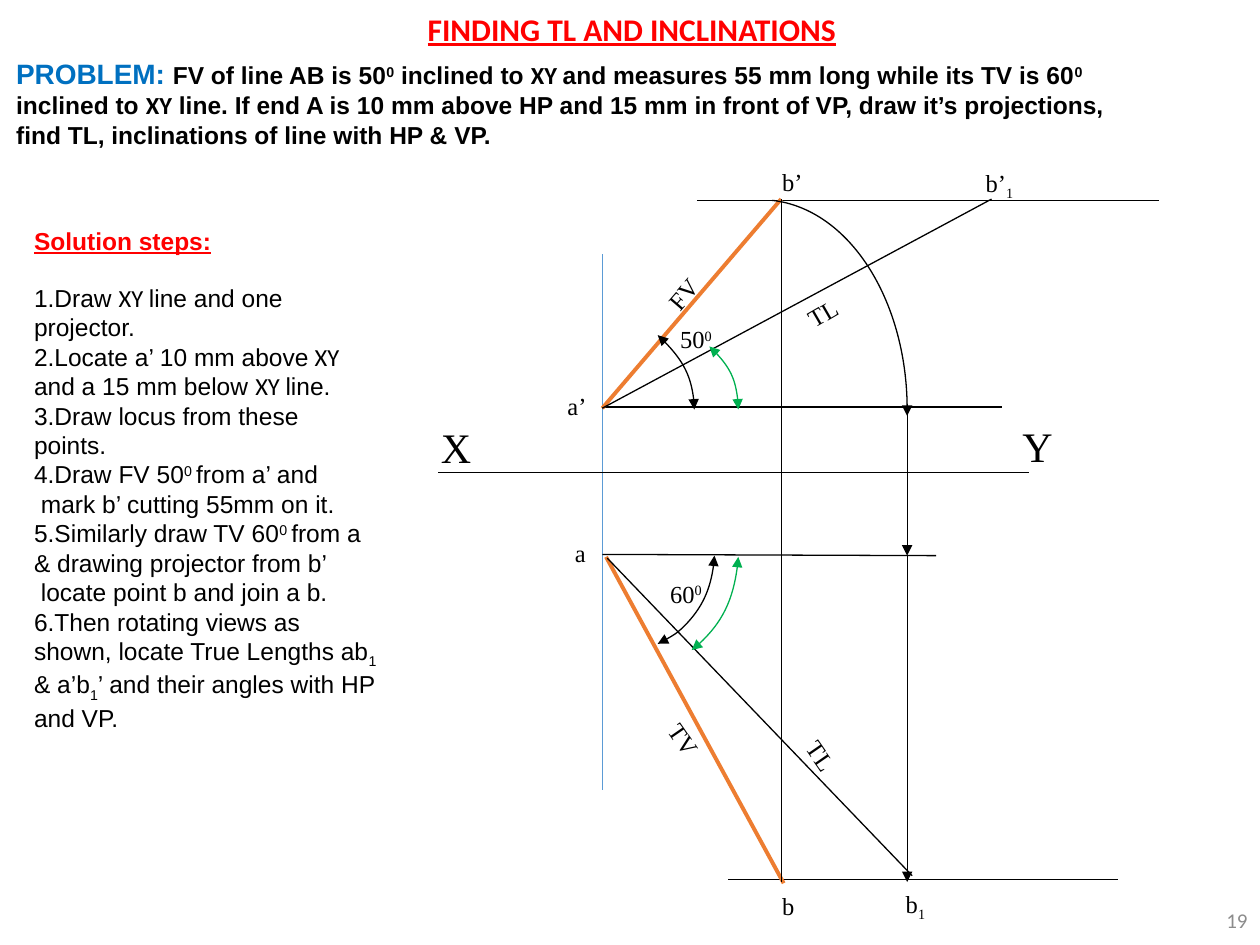
from dataclasses import dataclass

from lxml import etree
from pptx import Presentation
from pptx.dml.color import RGBColor
from pptx.enum.shapes import MSO_CONNECTOR
from pptx.enum.text import MSO_ANCHOR, MSO_AUTO_SIZE, PP_ALIGN
from pptx.oxml.ns import qn
from pptx.util import Inches, Pt

STRAIGHT = MSO_CONNECTOR.STRAIGHT
TOP, MIDDLE = MSO_ANCHOR.TOP, MSO_ANCHOR.MIDDLE
LEFT, CENTER, RIGHT = PP_ALIGN.LEFT, PP_ALIGN.CENTER, PP_ALIGN.RIGHT
FIXED, GROW = MSO_AUTO_SIZE.NONE, MSO_AUTO_SIZE.SHAPE_TO_FIT_TEXT


@dataclass(frozen=True)
class Theme:
    ink: str = "000000"
    accent: str = "FF0000"
    lead: str = "0070C0"
    view: str = "ED7D31"
    angle: str = "00B050"
    projector: str = "5B9BD5"
    muted: str = "8C8C8C"
    sans: str = "Arial"
    heading: str = "Calibri"
    serif: str = "Times New Roman"
    axis_size: int = 24
    title_size: int = 18
    lead_size: int = 16
    text_size: int = 14
    number_size: int = 12
    hairline: float = 0.5
    thin: float = 0.75
    thick: float = 2.25


THEME = Theme()
BODY = {"name": THEME.sans, "size": THEME.text_size, "color": THEME.ink, "bold": False}
HEAD = {"name": THEME.heading, "size": THEME.title_size, "color": THEME.accent,
        "bold": True, "underline": True}
MARK = {**BODY, "name": THEME.serif}
AXIS = {**MARK, "size": THEME.axis_size}
# Variations that a single run may have on its paragraph's format
VARIANTS = {
    "sup": {"baseline": 30000},
    "sub": {"baseline": -25000},
    "xy": {"name": THEME.heading},
    "lead": {"size": THEME.lead_size, "color": THEME.lead},
}

# Regions: left, top, width, height in inches
TITLE_BOX = (0.03, 0.03, 9.97, 0.4)
PROBLEM_BOX = (0.03, 0.4, 8.95, 0.84)
STEPS_BOX = (0.17, 1.74, 2.93, 4.11)
DRAWING_BOX = (3.4, 1.28, 5.8, 6.1)
NUMBER_BOX = (7.75, 7.1, 2.25, 0.4)

PROBLEM = [
    ("PROBLEM: ", "lead"), "FV of line AB is 50", ("0", "sup"), " inclined to ", ("XY ", "xy"),
    "and measures 55 mm long while its TV is 60", ("0", "sup"), " inclined to ", ("XY", "xy"),
    " line. If end A is 10 mm above HP and 15 mm in front of VP, draw it’s projections, "
    "find TL, inclinations of line with HP & VP.",
]
STEPS = [
    ["1.Draw ", ("XY ", "xy"), "line and one projector."],
    ["2.Locate a’ 10 mm above", (" XY ", "xy"), "and a 15 mm below ", ("XY ", "xy"), "line."],
    ["3.Draw locus from these points."],
    ["4.Draw FV 50", ("0 ", "sup"), "from a’ and"],
    [" mark b’ cutting 55mm on it."],
    ["5.Similarly draw TV 60", ("0 ", "sup"), "from a & drawing projector from b’"],
    [" locate point b and join a b."],
    ["6.Then rotating views as shown, locate True Lengths ab", ("1 ", "sub"), "& a’b",
     ("1", "sub"), "’ and their angles with HP and VP."],
]


def place(shape, box):
    for side, length in zip(("left", "top", "width", "height"), box):
        setattr(shape, side, Inches(length))


def set_frame(shape, wrap=True, anchor=TOP, auto_size=GROW):
    frame = shape.text_frame
    values = {"word_wrap": wrap, "vertical_anchor": anchor, "auto_size": auto_size,
              "margin_left": Inches(0.1), "margin_right": Inches(0.1),
              "margin_top": Inches(0.05), "margin_bottom": Inches(0.05)}
    for name, value in values.items():
        setattr(frame, name, value)
    return frame


def write(paragraph, parts, style, align=LEFT):
    paragraph.alignment = align
    for part in parts:
        words, variant = (part, None) if isinstance(part, str) else part
        values = {**style, **VARIANTS.get(variant, {})}
        run = paragraph.add_run()
        run.text = words
        run.font.color.rgb = RGBColor.from_string(values.pop("color"))
        run.font.size = Pt(values.pop("size"))
        baseline = values.pop("baseline", None)
        if baseline:
            run.font._element.set("baseline", str(baseline))
        for name, value in values.items():
            setattr(run.font, name, value)


def add_text(slide, box, parts, style, align=LEFT, **frame_format):
    text = slide.shapes.add_textbox(*map(Inches, box))
    write(set_frame(text, **frame_format).paragraphs[0], parts, style, align)
    return text


def add_title(slide, box):
    place(slide.shapes.title, box)
    frame = set_frame(slide.shapes.title)
    write(frame.paragraphs[0], ["FINDING TL AND INCLINATIONS"], HEAD, CENTER)


def add_steps(slide, box):
    body = slide.placeholders[1]
    place(body, box)
    frame = set_frame(body)
    heading = {**HEAD, "name": THEME.sans, "size": THEME.text_size}
    rows = [(["Solution steps:"], heading)] + [(step, BODY) for step in STEPS]
    for index, (parts, style) in enumerate(rows):
        paragraph = frame.add_paragraph() if index else frame.paragraphs[0]
        paragraph.space_before = Pt(0)
        paragraph.space_after = Pt(0 if index else 16)
        write(paragraph, parts, style)
        properties = paragraph._p.get_or_add_pPr()
        properties.set("marL", "0")
        properties.set("indent", "0")
        etree.SubElement(properties, qn("a:buNone"))


def style_stroke(stroke, color, width, ends=()):
    stroke.line.color.rgb = RGBColor.from_string(color)
    stroke.line.width = Pt(width)
    properties = stroke._element.spPr
    outline = properties.find(qn("a:ln"))
    for end in ends:
        etree.SubElement(outline, qn(f"a:{end}"), type="triangle")
    if properties.find(qn("a:effectLst")) is None:
        etree.SubElement(properties, qn("a:effectLst"))


def add_curve(slide, points, color, ends):
    """Draw cubic segments: a start point, then three points for each segment."""
    builder = slide.shapes.build_freeform(*points[0])
    builder.add_line_segments(points[1:], close=False)
    curve = builder.convert_to_shape()
    outline = curve._element.find(".//" + qn("a:path"))
    vertices = outline.findall(qn("a:lnTo"))
    for first in range(0, len(vertices), 3):
        segment = etree.SubElement(outline, qn("a:cubicBezTo"))
        for vertex in vertices[first:first + 3]:
            segment.append(vertex[0])
            outline.remove(vertex)
    curve.fill.background()
    curve.shadow.inherit = False
    style_stroke(curve, color, THEME.thin, ends)


def add_drawing(slide, box):
    # The origin is where the projector through A crosses the XY line
    origin_x, origin_y = box[0] + 1.38, box[1] + 2.47

    def at(x, y):
        return Inches(origin_x + x), Inches(origin_y + y)

    front_a, front_b, front_b1 = (0, -0.51), (1.42, -2.17), (3.09, -2.17)
    top_a, top_b = (0.03, 0.67), (1.44, 3.26)
    locus_a, locus_b, turned_x = 0.66, 3.23, 2.42
    both, tip = ("headEnd", "tailEnd"), ("tailEnd",)

    strokes = [
        ((0, -1.73), (0, 2.52), THEME.projector, THEME.hairline, ()),
        ((-1.3, 0), (3.39, 0), THEME.ink, THEME.thin, ()),
        # Loci of b’, a’, a and b
        ((0.75, -2.16), (4.42, -2.16), THEME.ink, THEME.thin, ()),
        ((0, -0.52), (3.17, -0.52), THEME.ink, THEME.thin, ()),
        ((0, 0.65), (2.65, locus_a), THEME.ink, THEME.thin, ()),
        ((1, locus_b), (4.09, locus_b), THEME.ink, THEME.thin, ()),
        # Front and top views
        (front_a, front_b, THEME.view, THEME.thick, ()),
        (top_b, top_a, THEME.view, THEME.thick, ()),
        # Projectors of B and of its turned position
        (front_b, (front_b[0], 3.25), THEME.ink, THEME.thin, ()),
        ((turned_x, -0.5), (turned_x, locus_a), THEME.ink, THEME.thin, tip),
        ((turned_x, locus_a), (turned_x, 3.25), THEME.ink, THEME.thin, tip),
        # True lengths
        (front_a, front_b1, THEME.ink, THEME.thin, ()),
        ((0.04, 0.68), (2.46, 3.2), THEME.ink, THEME.thin, ()),
    ]
    for start, end, color, width, ends in strokes:
        line = slide.shapes.add_connector(STRAIGHT, *at(*start), *at(*end))
        style_stroke(line, color, width, ends)

    # Swing of b’ and the four angles
    curves = [
        ([(1.35, -2.16), (1.96, -2.09), (2.42, -1.36), (2.42, -0.5),
          (2.42, -0.48), (2.42, -0.47), (2.42, -0.45)], THEME.ink, tip),
        ([(0.44, -1.09), (0.62, -0.93), (0.73, -0.72), (0.73, -0.5)], THEME.ink, both),
        ([(0.89, 0.66), (0.88, 0.87), (0.8, 1.07), (0.65, 1.22),
          (0.59, 1.28), (0.52, 1.32), (0.44, 1.36)], THEME.ink, both),
        ([(0.85, -1), (1, -0.87), (1.08, -0.69), (1.08, -0.5)], THEME.angle, both),
        ([(1.08, 0.67), (1.06, 0.97), (0.93, 1.24), (0.71, 1.41)], THEME.angle, both),
    ]
    for points, color, ends in curves:
        add_curve(slide, [at(*point) for point in points], color, ends)

    # Labels: parts, centre, width, turn
    labels = [
        (["X"], (-1.16, -0.2), 0.44, 0), (["Y"], (3.46, -0.21), 0.45, 0),
        (["a’"], (-0.2, -0.53), 0.35, 0), (["a"], (-0.17, 0.64), 0.29, 0),
        (["b’"], (1.51, -2.31), 0.36, 0), (["b"], (1.48, 3.44), 0.3, 0),
        (["b’", ("1", "sub")], (3.16, -2.3), 0.43, 0),
        (["b", ("1", "sub")], (2.49, 3.42), 0.36, 0),
        (["50", ("0", "sup")], (0.75, -1.06), 0.46, 0),
        (["60", ("0", "sup")], (0.67, 0.96), 0.46, 0),
        (["FV"], (0.64, -1.42), 0.45, 310.6), (["TV"], (0.65, 2.12), 0.46, 55.4),
        (["TL"], (1.75, -1.27), 0.44, 329.9), (["TL"], (1.74, 2.25), 0.44, 55.4),
    ]
    for parts, (x, y), width, turn in labels:
        style, height = (AXIS, 0.5) if parts[0] in "XY" else (MARK, 0.33)
        label_box = (origin_x + x - width / 2, origin_y + y - height / 2, width, height)
        add_text(slide, label_box, parts, style, wrap=False).rotation = turn


def main():
    deck = Presentation()
    deck.slide_width, deck.slide_height = Inches(10), Inches(7.5)
    slide = deck.slides.add_slide(deck.slide_layouts[1])
    add_drawing(slide, DRAWING_BOX)
    add_text(slide, PROBLEM_BOX, PROBLEM, {**BODY, "bold": True})
    add_steps(slide, STEPS_BOX)
    number = {"name": THEME.heading, "size": THEME.number_size, "color": THEME.muted}
    add_text(slide, NUMBER_BOX, ["19"], number, RIGHT, anchor=MIDDLE, auto_size=FIXED)
    add_title(slide, TITLE_BOX)
    deck.save("out.pptx")


if __name__ == "__main__":
    main()
